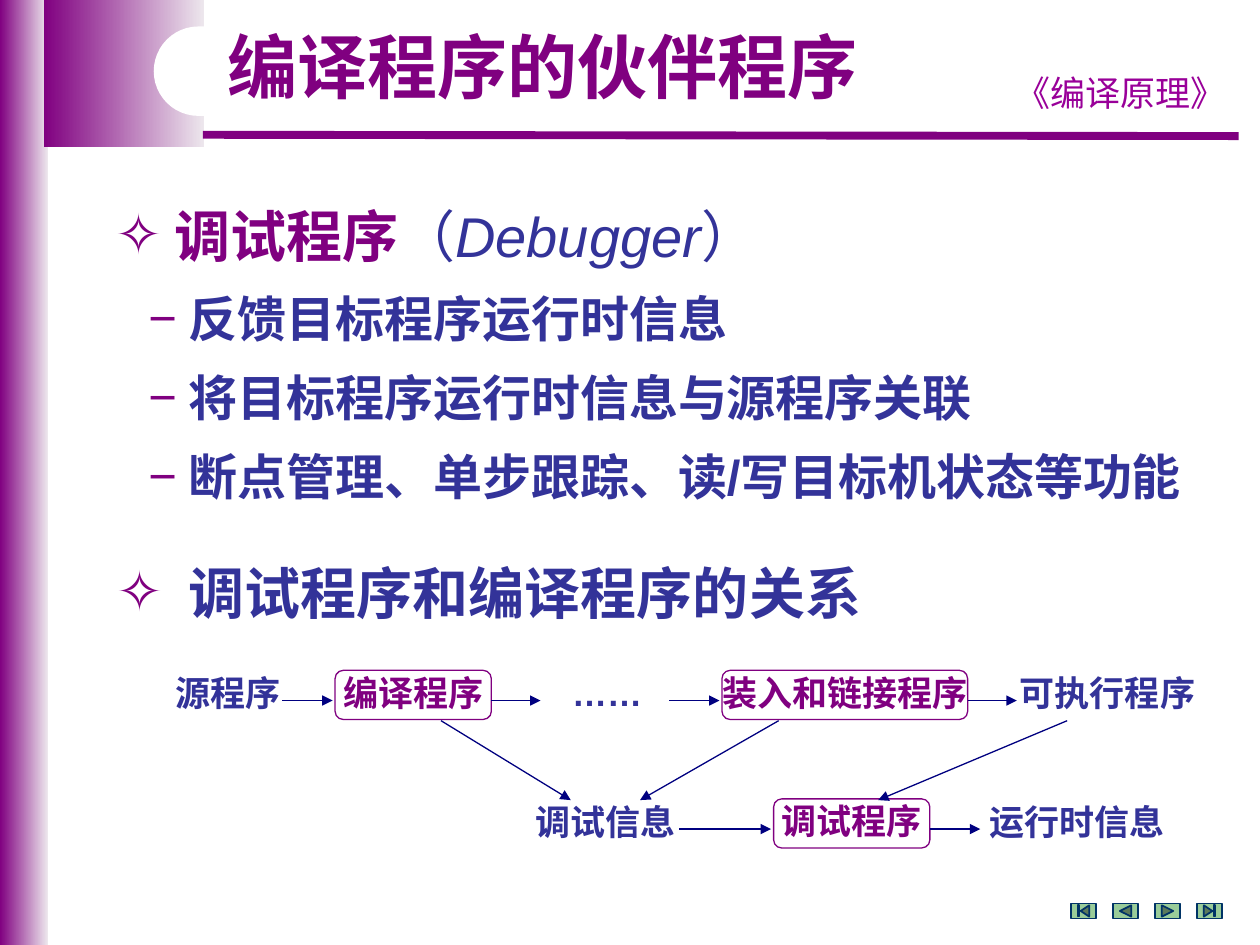
from lxml import etree
from pptx import Presentation
from pptx.dml.color import RGBColor
from pptx.enum.shapes import MSO_CONNECTOR as CONN, MSO_SHAPE as SHAPE
from pptx.enum.text import MSO_ANCHOR as ANCHOR, PP_ALIGN as ALIGN
from pptx.oxml.ns import qn
from pptx.util import Inches, Pt

COLORS = {
    "purple": "800080", "pale": "EDE7ED", "violet": "990099", "blue": "333399",
    "navy": "000080", "white": "FFFFFF", "green": "99CC99", "teal": "003366",
}


def rgb(name):
    return RGBColor.from_string(COLORS[name])


def add_run(p, text, size, color, bold=True, italic=False, font="Arial"):
    r = p.add_run()
    r.text = text
    r.font.size = Pt(size)
    r.font.name = font
    r.font.bold = bold
    r.font.italic = italic
    r.font.color.rgb = rgb(color)


def add_box(s, x, y, w, h, wrap=True):
    tf = s.shapes.add_textbox(Inches(x), Inches(y), Inches(w), Inches(h)).text_frame
    tf.word_wrap = wrap
    return tf


def add_shape(s, kind, x, y, w, h, fill="white", line=None, width=0.75):
    sp = s.shapes.add_shape(kind, Inches(x), Inches(y), Inches(w), Inches(h))
    sp.shadow.inherit = False
    sp.fill.solid()
    sp.fill.fore_color.rgb = rgb(fill)
    if line:
        sp.line.color.rgb = rgb(line)
        sp.line.width = Pt(width)
    else:
        sp.line.fill.background()
    return sp


def add_line(s, x1, y1, x2, y2, color="navy", width=0.75, arrow=True):
    c = s.shapes.add_connector(CONN.STRAIGHT, Inches(x1), Inches(y1), Inches(x2), Inches(y2))
    c.line.color.rgb = rgb(color)
    c.line.width = Pt(width)
    if arrow:
        etree.SubElement(c.line._get_or_add_ln(), qn("a:tailEnd"), type="triangle")
    etree.SubElement(c._element.spPr, qn("a:effectLst"))


def set_bullet(p, char, margin, hanging):
    pPr = p._p.get_or_add_pPr()
    pPr.set("marL", str(Inches(margin)))
    pPr.set("indent", str(-Inches(hanging)))
    clr = etree.SubElement(pPr, qn("a:buClr"))
    etree.SubElement(clr, qn("a:srgbClr"), val=COLORS["purple"])
    etree.SubElement(pPr, qn("a:buFont"), typeface="Arial")
    etree.SubElement(pPr, qn("a:buChar"), char=char)


def add_gradient(s, x, y, w, h):
    sp = add_shape(s, SHAPE.RECTANGLE, x, y, w, h)
    sp.fill.gradient()
    sp.fill.gradient_angle = 0
    for stop, (position, color) in zip(sp.fill.gradient_stops, ((0, "purple"), (1, "pale"))):
        stop.position = position
        stop.color.rgb = rgb(color)


def add_frame(s, x, y, h):
    add_gradient(s, x, y, 0.38, h)
    add_gradient(s, x + 0.35, y, 1.27, 1.17)
    add_line(s, x + 1.61, y + 1.07, x + 9.83, y + 1.08, "purple", 4.5, arrow=False)
    p = add_box(s, x + 7.91, y + 0.52, 1.97, 0.43).paragraphs[0]
    p.alignment = ALIGN.CENTER
    add_run(p, "《编译原理》", 20, "violet", bold=False, font="Noto Sans CJK SC")
    cap = add_shape(s, SHAPE.ROUNDED_RECTANGLE, x + 1.22, y + 0.21, 3.62, 0.71)
    cap.adjustments[0] = 0.5


def add_navigation(s, x, y):
    kinds = (SHAPE.ACTION_BUTTON_BEGINNING, SHAPE.ACTION_BUTTON_BACK_OR_PREVIOUS,
             SHAPE.ACTION_BUTTON_FORWARD_OR_NEXT, SHAPE.ACTION_BUTTON_END)
    for i, kind in enumerate(kinds):
        add_shape(s, kind, x + i / 3, y, 0.2, 0.12, "green", "teal", 1)


def add_title(s, x, y, w, h):
    p = add_box(s, x, y, w, h).paragraphs[0]
    p.alignment = ALIGN.CENTER
    p.line_spacing = 0.9
    add_run(p, "编译程序的伙伴程序", 40, "purple")


def add_debugger_points(s, x, y, w, h):
    tf = add_box(s, x, y, w, h)
    p = tf.paragraphs[0]
    set_bullet(p, "✧", 0.47, 0.47)
    add_run(p, "调试程序", 32, "purple")
    add_run(p, "（", 32, "blue", bold=False)
    add_run(p, "Debugger", 32, "blue", bold=False, italic=True)
    add_run(p, "）", 32, "blue", bold=False)
    for text in ("反馈目标程序运行时信息", "将目标程序运行时信息与源程序关联",
                 "断点管理、单步跟踪、读/写目标机状态等功能"):
        p = tf.add_paragraph()
        p.space_before = Pt(11.5)
        set_bullet(p, "−", 0.58, 0.32)
        add_run(p, text, 28, "blue")


def add_node(s, text, x, y, w, boxed=False):
    if boxed:
        sp = add_shape(s, SHAPE.ROUNDED_RECTANGLE, x, y, w, 0.39, line="purple")
        sp.adjustments[0] = 0.167
        tf = sp.text_frame
        tf.word_wrap = False
        tf.vertical_anchor = ANCHOR.MIDDLE
    else:
        tf = add_box(s, x, y, w, 0.41, wrap=False)
    p = tf.paragraphs[0]
    p.alignment = ALIGN.CENTER
    p.line_spacing = 0.9
    add_run(p, text, 20, "purple" if boxed else "blue")


def add_relation(s, x, y):
    p = add_box(s, x, y, 6.22, 0.63).paragraphs[0]
    set_bullet(p, "✧", 0.57, 0.57)
    add_run(p, "调试程序和编译程序的关系", 32, "blue")

    top, bottom = y + 0.94, y + 1.96
    rows = (
        (top, (("源程序", 0.39, 1.18, False), ("编译程序", 1.83, 1.24, True),
               ("……", 3.52, 0.94, False), ("装入和链接程序", 4.9, 1.95, True),
               ("可执行程序", 7.16, 1.6, False)),
         ((1.41, 1.81), (3.07, 3.46), (4.48, 4.88), (6.85, 7.24))),
        (bottom, (("调试信息", 3.23, 1.49, False), ("调试程序", 5.31, 1.24, True),
                  ("运行时信息", 6.92, 1.6, False)),
         ((4.56, 5.29), (6.55, 6.95))),
    )
    for row_y, nodes, arrows in rows:
        for text, dx, w, boxed in nodes:
            add_node(s, text, x + dx, row_y, w, boxed)
        for start, end in arrows:
            add_line(s, x + start, row_y + 0.24, x + end, row_y + 0.24)
    for start, end in ((2.67, 3.7), (5.35, 4.25), (7.64, 6.14)):
        add_line(s, x + start, top + 0.4, x + end, bottom + 0.01)


def main():
    prs = Presentation()
    prs.slide_width, prs.slide_height = Inches(10), Inches(7.5)
    s = prs.slides.add_slide(prs.slide_layouts[6])
    add_frame(s, 0, 0, 7.5)
    add_navigation(s, 8.5, 7.17)
    add_debugger_points(s, 0.82, 1.55, 9.06, 2.56)
    add_relation(s, 0.83, 4.38)
    add_title(s, 1.65, 0.21, 5.31, 0.7)
    prs.save("out.pptx")


if __name__ == "__main__":
    main()
